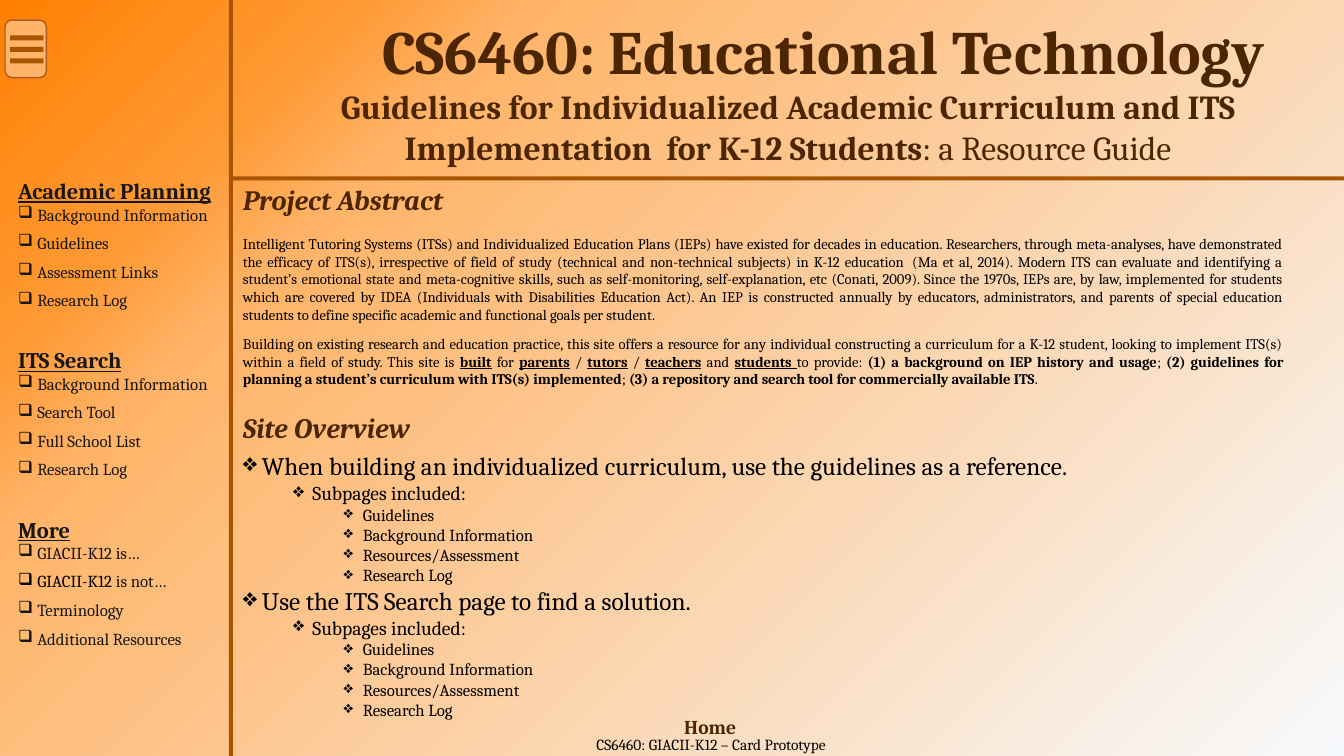
from lxml import etree
from pptx import Presentation
from pptx import util as u
from pptx.dml.color import RGBColor
from pptx.enum import shapes, text
from pptx.oxml import parse_xml
from pptx.oxml.ns import nsdecls, qn

INK = {"brown": "4C2600", "bar": "A85400", "menu": "FFB469", "edge": "AF5C24",
       "side": "181717", "black": "000000"}
# Position, colour, opacity in percent
STOPS = [(0, "F7FAFD", 100), (74, "FFB469", 75), (83, "FF9933", 75), (100, "FF8001", 100)]
ALIGN, MID = text.PP_ALIGN, text.MSO_ANCHOR.MIDDLE

ABSTRACT = [
    "Intelligent Tutoring Systems (ITSs) and Individualized Education Plans (IEPs) have existed "
    "for decades in education. Researchers, through meta-analyses, have demonstrated the efficacy "
    "of ITS(s), irrespective of field of study (technical and non-technical subjects) in K-12 "
    "education\xa0 (Ma et al, 2014). Modern ITS can evaluate and identifying a student’s emotional "
    "state and meta-cognitive skills, such as self-monitoring, self-explanation, etc (Conati, "
    "2009). Since the 1970s, IEPs are, by law, implemented for students which are covered by IDEA "
    "(Individuals with Disabilities Education Act). An IEP is constructed annually by educators, "
    "administrators, and parents of special education students to define specific academic and "
    "functional goals per student.",
    # Each piece: words, then b for bold and u for underlined
    [("Building on existing research and education practice, this site offers a resource for any "
      "individual constructing a curriculum for a K-12 student, looking to implement ITS(s) "
      "within a field of study. This site is ", ""),
     ("built", "bu"), (" for ", ""), ("parents", "bu"), (" / ", ""), ("tutors", "bu"),
     (" / ", ""), ("teachers", "bu"), (" and ", ""), ("students ", "bu"), ("to provide: ", ""),
     ("(1) a background on IEP history and usage", "b"), ("; ", ""),
     ("(2) guidelines for planning a student’s curriculum with ITS(s) implemented", "b"),
     ("; ", ""),
     ("(3) a repository and search tool for commercially available ITS", "b"), (".", "")]]

PAGES = ["Guidelines", "Background Information", "Resources/Assessment", "Research Log"]
GOALS = ["When building an individualized curriculum, use the guidelines as a reference.",
         "Use the ITS Search page to find a solution."]
MENU = {
    "Academic Planning": ["Background Information", "Guidelines", "Assessment Links",
                          "Research Log"],
    "ITS Search": ["Background Information", "Search Tool", "Full School List", "Research Log"],
    "More": ["GIACII-K12 is…", [("GIACII-K12 ", "k"), ("is not…", "")], "Terminology",
             "Additional Resources"]}


def paint(slide):
    """Radial gradient that starts in the lower right corner."""
    stops = "".join(
        f'<a:gs pos="{pos * 1000}"><a:srgbClr val="{tint}"><a:alpha val="{full * 1000}"/>'
        '</a:srgbClr></a:gs>' for pos, tint, full in STOPS)
    back = parse_xml(
        f'<p:bg {nsdecls("p", "a")}><p:bgPr><a:gradFill rotWithShape="1"><a:gsLst>{stops}'
        '</a:gsLst><a:path path="circle"><a:fillToRect l="100000" t="100000"/></a:path>'
        '</a:gradFill><a:effectLst/></p:bgPr></p:bg>')
    slide.element.cSld.insert(0, back)


def block(slide, at, tint, kind=shapes.MSO_SHAPE.RECTANGLE, edge=None):
    box = slide.shapes.add_shape(kind, *map(u.Inches, at))
    box.shadow.inherit = False
    box.fill.solid()
    box.fill.fore_color.rgb = RGBColor.from_string(INK[tint])
    if edge:
        box.line.color.rgb = RGBColor.from_string(INK[edge])
        box.line.width = u.Pt(1)
    else:
        box.line.fill.background()


def frame(slide, at, anchor=text.MSO_ANCHOR.TOP, pad=None):
    body = slide.shapes.add_textbox(*map(u.Inches, at)).text_frame
    body.word_wrap = True
    body.vertical_anchor = anchor
    if pad is not None:
        body.margin_left = body.margin_right = u.Inches(pad)
        body.margin_top = body.margin_bottom = u.Inches(pad)
    return body


def write(body, words, size, tint, marks="", align=None, before=0, after=0):
    """Fill the empty first paragraph, or add one; words is a string or styled pieces."""
    para = body.paragraphs[0] if not body.text else body.add_paragraph()
    para.alignment = align
    para.space_before, para.space_after = u.Pt(before), u.Pt(after)
    for part, style in [(words, marks)] if isinstance(words, str) else words:
        run = para.add_run()
        run.text = part
        font = run.font
        font.name, font.size = "Cambria", u.Pt(size)
        font.bold, font.italic, font.underline = "b" in style, "i" in style, "u" in style
        font.color.rgb = RGBColor.from_string(INK["black" if "k" in style else tint])
    return para


def bullet(para, sign, left, level):
    para.level = level
    props = para._p.get_or_add_pPr()
    props.set("marL", str(u.Inches(left)))
    props.set("indent", str(u.Inches(-0.19)))
    etree.SubElement(props, qn("a:buChar")).set("char", sign)


def head(slide):
    write(frame(slide, (3.06, 0.07, 10.22, 0.84), MID),
          "CS6460: Educational Technology", 44, "brown", "b", ALIGN.CENTER)
    write(frame(slide, (3.06, 0.8, 9.51, 0.91), MID),
          [("Guidelines for Individualized Academic Curriculum and ITS Implementation  "
            "for K-12 Students", "b"), (": a Resource Guide", "")],
          24, "brown", align=ALIGN.CENTER)


def side(slide):
    body = frame(slide, (0.18, 1.76, 2.04, 5.53), pad=0)
    for i, (name, items) in enumerate(MENU.items()):
        write(body, name, 16, "side", "bu", before=20 if i else 0)
        for item in items:
            bullet(write(body, item, 12, "side", after=6), "❑", 0.19, 2)


def main():
    deck = Presentation()
    deck.slide_width, deck.slide_height = u.Inches(13.33), u.Inches(7.5)
    slide = deck.slides.add_slide(deck.slide_layouts[6])
    paint(slide)

    # Menu button
    block(slide, (0.05, 0.2, 0.41, 0.57), "menu", shapes.MSO_SHAPE.ROUNDED_RECTANGLE, "edge")
    for i in range(3):
        block(slide, (0.1, 0.35 + 0.115 * i, 0.33, 0.05), "bar")

    # Dividers, title and side menu
    block(slide, (2.27, 0, 0.04, 7.5), "bar")
    block(slide, (2.31, 1.75, 11.02, 0.04), "bar")
    head(slide)
    side(slide)

    # Section titles
    for top, name in [(1.76, "Project Abstract"), (4.02, "Site Overview")]:
        write(frame(slide, (2.31, top, 2.39, 0.44)), name, 20, "brown", "bi")

    # Abstract
    body = frame(slide, (2.31, 2.27, 10.52, 1.64), MID)
    for words in ABSTRACT:
        write(body, words, 10.5, "black", align=ALIGN.JUSTIFY, after=8.5)

    # Overview list
    body = frame(slide, (2.31, 4.41, 11.02, 2.79), MID)
    for goal in GOALS:
        rows = [(goal, 0), ("Subpages included:", 1)] + [(page, 2) for page in PAGES]
        for words, level in rows:
            para = write(body, words, (18, 14, 12)[level], "black")
            bullet(para, "❖", 0.19 + 0.5 * level, level)

    # Footer
    write(frame(slide, (6.68, 7.1, 0.73, 0.22), MID, 0), "Home", 14, "brown", "b", ALIGN.CENTER)
    write(frame(slide, (3.52, 7.1, 7.07, 0.57), MID),
          "CS6460: GIACII-K12 – Card Prototype", 11, "black", align=ALIGN.CENTER)

    deck.save("out.pptx")


if __name__ == "__main__":
    main()
